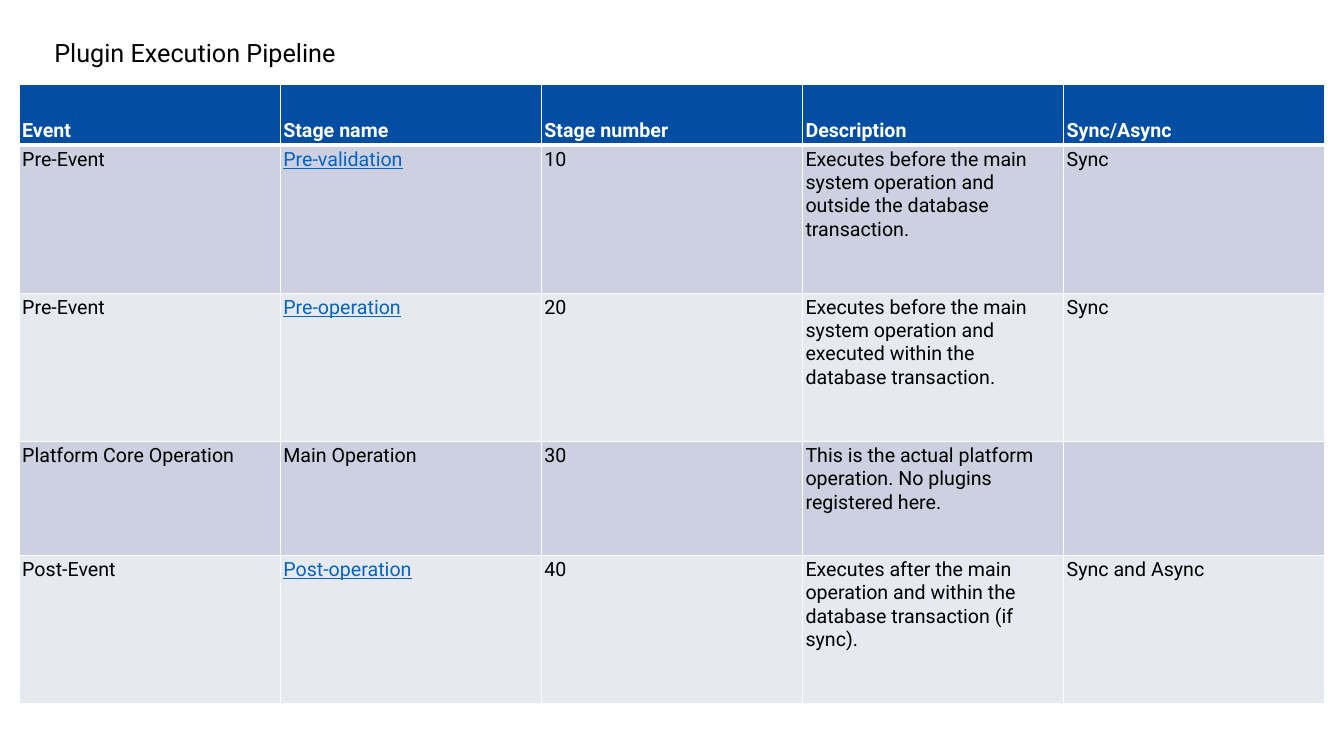
import pptx
import pptx.util
import pptx.dml.color
import pptx.enum.text
import pptx.oxml
import pptx.oxml.ns

COLORS = {"header": "034EA2", "odd": "CCD0E0", "even": "E7E9F0",
          "white": "FFFFFF", "text": "000000", "stage_link": "0563C1"}
FONT = "Roboto"
ROWS = [
    ["Event", "Stage name", "Stage number", "Description", "Sync/Async"],
    ["Pre-Event", "Pre-validation", "10",
     "Executes before the main system operation and outside the database transaction.", "Sync"],
    ["Pre-Event", "Pre-operation", "20",
     "Executes before the main system operation and executed within the database transaction.",
     "Sync"],
    ["Platform Core Operation", "Main Operation", "30",
     "This is the actual platform operation. No plugins registered here.", ""],
    ["Post-Event", "Post-operation", "40",
     "Executes after the main operation and within the database transaction (if sync).",
     "Sync and Async"],
]
LINKED_STAGES = {"Pre-validation", "Pre-operation", "Post-operation"}
ROW_HEIGHTS = [0.6, 1.47, 1.47, 1.13, 1.47]
COL_WIDTH = 2.59
INSET = pptx.util.Inches(0.03)


def style_run(r, size, color):
    r.font.name = FONT
    r.font.size = pptx.util.Pt(size)
    r.font.color.rgb = pptx.dml.color.RGBColor.from_string(COLORS[color])


def set_border(cell, position, side, width):
    ln = pptx.oxml.parse_xml(
        f'<a:ln{side} {pptx.oxml.ns.nsdecls("a")} w="{pptx.util.Pt(width)}">'
        f'<a:solidFill><a:srgbClr val="{COLORS["white"]}"/></a:solidFill></a:ln{side}>')
    cell._tc.get_or_add_tcPr().insert(position, ln)


prs = pptx.Presentation()
prs.slide_width = pptx.util.Inches(13.33)
prs.slide_height = pptx.util.Inches(7.5)
s = prs.slides.add_slide(prs.slide_layouts[6])

# Stage table
table = s.shapes.add_table(
    len(ROWS), len(ROWS[0]), pptx.util.Inches(0.19), pptx.util.Inches(0.84),
    pptx.util.Inches(COL_WIDTH * len(ROWS[0])), pptx.util.Inches(sum(ROW_HEIGHTS))).table
for column in table.columns:
    column.width = pptx.util.Inches(COL_WIDTH)

for i, texts in enumerate(ROWS):
    table.rows[i].height = pptx.util.Inches(ROW_HEIGHTS[i])
    fill = "header" if i == 0 else "odd" if i % 2 else "even"
    for j, text in enumerate(texts):
        cell = table.cell(i, j)
        cell.margin_left = cell.margin_right = INSET
        cell.margin_top = cell.margin_bottom = INSET
        cell.vertical_anchor = (pptx.enum.text.MSO_ANCHOR.BOTTOM if i == 0
                                else pptx.enum.text.MSO_ANCHOR.TOP)
        cell.fill.solid()
        cell.fill.fore_color.rgb = pptx.dml.color.RGBColor.from_string(COLORS[fill])

        # White grid, heavier under the header
        widths = {"L": 1, "R": 1, "T": 3 if i == 1 else 1, "B": 3 if i == 0 else 1}
        for position, (side, width) in enumerate(widths.items()):
            set_border(cell, position, side, width)

        cell.text_frame.text = text
        linked = text in LINKED_STAGES
        for r in cell.text_frame.paragraphs[0].runs:
            style_run(r, 14, "white" if i == 0 else "stage_link" if linked else "text")
            r.font.bold = i == 0
            r.font.underline = linked

# Title
sp = s.shapes.add_textbox(pptx.util.Inches(0.44), pptx.util.Inches(0.32),
                          pptx.util.Inches(4.68), pptx.util.Inches(0.4))
tf = sp.text_frame
tf.word_wrap = True
tf.auto_size = pptx.enum.text.MSO_AUTO_SIZE.SHAPE_TO_FIT_TEXT
tf.text = "Plugin Execution Pipeline"
style_run(tf.paragraphs[0].runs[0], 18, "text")

prs.save("out.pptx")
